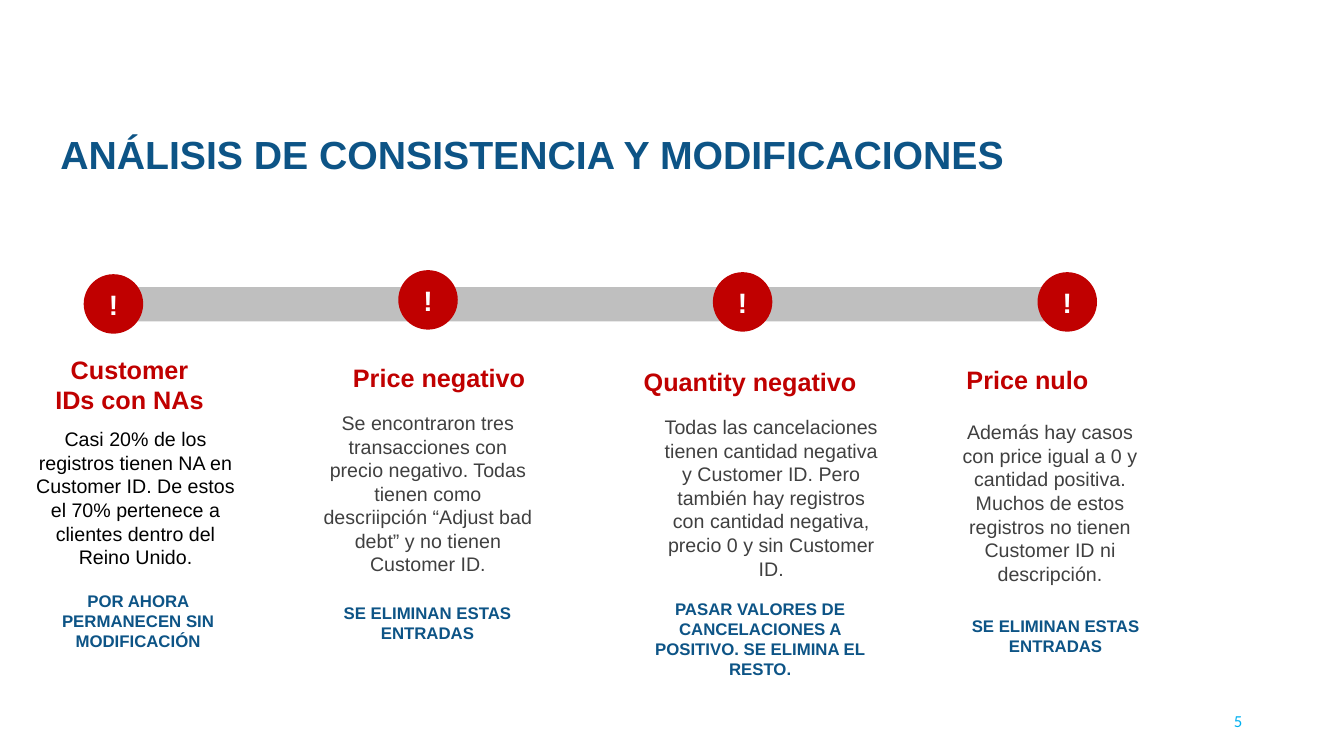
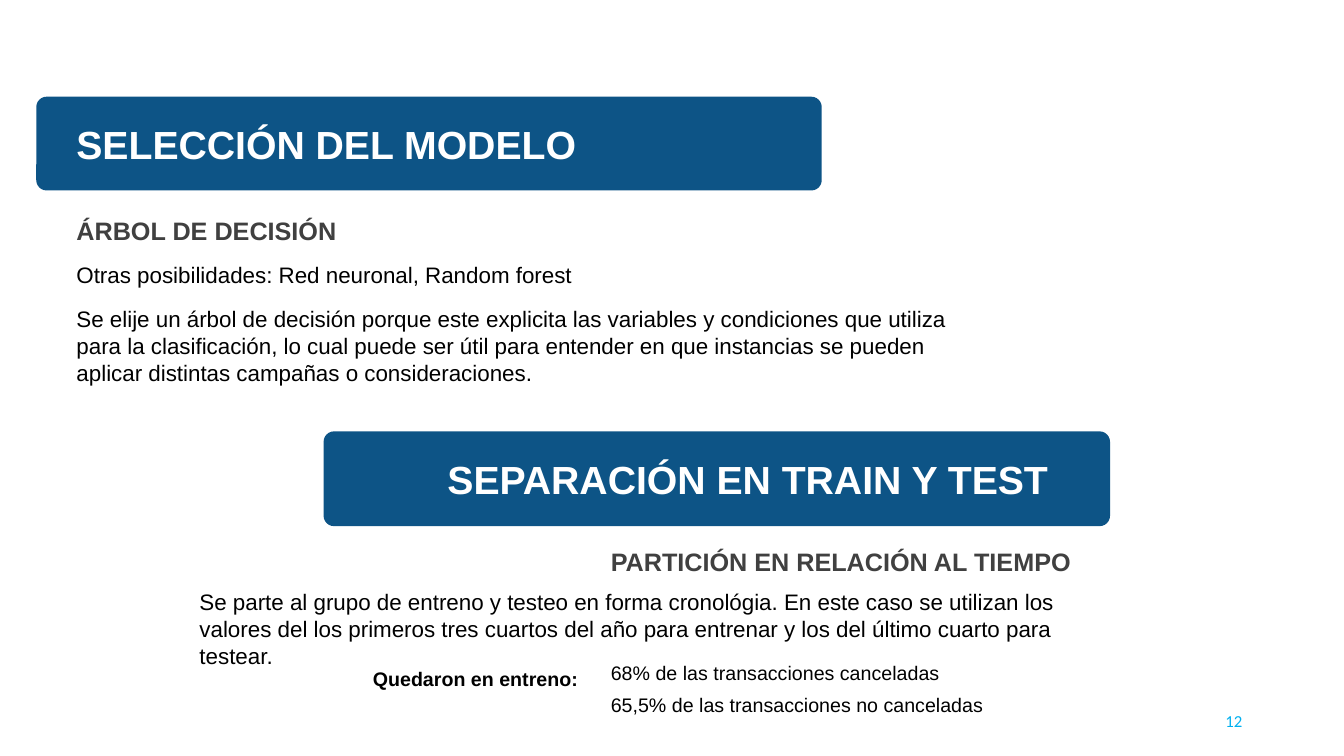
"""Build two slides: data consistency checks, then model choice and data split."""
from pptx import Presentation
from pptx.dml.color import RGBColor
from pptx.enum.shapes import MSO_SHAPE as SHAPE
from pptx.enum.text import MSO_ANCHOR as ANCHOR, PP_ALIGN as ALIGN
from pptx.util import Inches, Pt

COLORS = {"blue": "0D5486", "red": "C00000", "bar": "BFBFBF", "gray": "404040",
          "black": "000000", "white": "FFFFFF", "cyan": "00B0F0"}

TITLE = dict(size=28, bold=True, anchor=ANCHOR.MIDDLE)
HEADING = dict(size=18, bold=True, color="gray")
ISSUE = dict(size=18, bold=True, color="red", align=ALIGN.CENTER, anchor=ANCHOR.MIDDLE)
DETAIL = dict(size=14, align=ALIGN.CENTER)
ACTION = dict(size=12, bold=True, color="blue", align=ALIGN.CENTER)
BODY = dict(size=16)
RESULT = dict(size=14)

DOT = 0.59
ISSUES = [
    {"dot": (0.83, 2.72),
     "issue": ("Customer IDs con NAs", (0.4, 3.46, 1.77, 0.71)),
     "detail": ("Casi 20% de los registros tienen NA en Customer ID. De estos el 70% "
                "pertenece a clientes dentro del Reino Unido.", (0.18, 4.19, 2.33, 1.51)),
     "detail_color": "black",
     "action": ("POR AHORA PERMANECEN SIN MODIFICACIÓN", (0.36, 5.81, 2.02, 0.71))},
    {"dot": (3.95, 2.68),
     "issue": ("Price negativo", (3.31, 3.54, 2.09, 0.4)),
     "detail": ("Se encontraron tres transacciones con precio negativo. Todas tienen como "
                "descriipción “Adjust bad debt” y no tienen Customer ID.",
                (3.08, 4.03, 2.33, 1.75)),
     "detail_color": "gray",
     "action": ("SE ELIMINAN ESTAS ENTRADAS", (3.23, 5.93, 2.02, 0.5))},
    {"dot": (7.07, 2.7),
     "issue": ("Quantity negativo", (6.27, 3.58, 2.34, 0.4)),
     "detail": ("Todas las cancelaciones tienen cantidad negativa y Customer ID. Pero también "
                "hay registros con cantidad negativa, precio 0 y sin Customer ID.",
                (6.48, 4.07, 2.34, 1.75)),
     "detail_color": "gray",
     "action": ("PASAR VALORES DE CANCELACIONES A POSITIVO. SE ELIMINA EL RESTO.",
                (6.31, 5.89, 2.46, 0.91))},
    {"dot": (10.29, 2.7),
     "issue": ("Price nulo", (9.4, 3.56, 1.58, 0.4)),
     "detail": ("Además hay casos con price igual a 0 y cantidad positiva. Muchos de estos "
                "registros no tienen Customer ID ni descripción.", (9.35, 4.12, 2.13, 1.75)),
     "detail_color": "gray",
     "action": ("SE ELIMINAN ESTAS ENTRADAS", (9.46, 6.06, 2.02, 0.5))},
]

BANNERS = [
    ("SELECCIÓN DEL MODELO", (0.36, 0.96, 7.79, 0.93), (0.66, 1.14, 7.4, 0.57)),
    ("SEPARACIÓN EN TRAIN Y TEST", (3.21, 4.28, 7.8, 0.94), (4.34, 4.47, 6.6, 0.57)),
]
MODEL_TEXTS = [
    ("ÁRBOL DE DECISIÓN", (0.66, 2.09, 7.79, 0.4), HEADING),
    ("Otras posibilidades: Red neuronal, Random forest", (0.66, 2.54, 6.42, 0.37), BODY),
    ("Se elije un árbol de decisión porque este explicita las variables y condiciones que "
     "utiliza para la clasificación, lo cual puede ser útil para entender en que instancias "
     "se pueden aplicar distintas campañas o consideraciones.", (0.66, 2.98, 9.22, 0.91), BODY),
    ("PARTICIÓN EN RELACIÓN AL TIEMPO", (5.96, 5.37, 7, 0.4), HEADING),
    ("Se parte al grupo de entreno y testeo en forma cronológia. En este caso se utilizan los "
     "valores del los primeros tres cuartos del año para entrenar y los del último cuarto "
     "para testear.", (1.88, 5.79, 8.91, 0.91), BODY),
    ("Quedaron en entreno:", (3.6, 6.57, 2.3, 0.34), dict(RESULT, bold=True)),
    ("68% de las transacciones canceladas", (5.96, 6.51, 3.92, 0.34), RESULT),
    ("65,5% de las transacciones no canceladas", (5.96, 6.83, 3.92, 0.34), RESULT),
]


def rgb(name):
    return RGBColor.from_string(COLORS[name])


def write(tf, text, size=16, color="black", bold=False, font="Arial",
          align=ALIGN.LEFT, anchor=ANCHOR.TOP):
    tf.word_wrap = True
    tf.vertical_anchor = anchor
    p = tf.paragraphs[0]
    p.alignment = align
    r = p.add_run()
    r.text = text
    r.font.name, r.font.size, r.font.bold = font, Pt(size), bold
    r.font.color.rgb = rgb(color)


def add_text(s, text, box, **fmt):
    write(s.shapes.add_textbox(*map(Inches, box)).text_frame, text, **fmt)


def add_block(s, kind, box, fill):
    sp = s.shapes.add_shape(kind, *map(Inches, box))
    sp.shadow.inherit = False
    sp.fill.solid()
    sp.fill.fore_color.rgb = rgb(fill)
    sp.line.fill.background()
    return sp


def new_slide(prs, number):
    s = prs.slides.add_slide(prs.slide_layouts[6])
    add_text(s, str(number), (9.42, 6.95, 3, 0.4), size=12, color="cyan", font="Calibri",
             align=ALIGN.RIGHT, anchor=ANCHOR.MIDDLE)
    return s


def consistency_slide(prs):
    s = new_slide(prs, 5)
    add_text(s, "ANÁLISIS DE CONSISTENCIA Y MODIFICACIONES", (0.5, 1.24, 11.02, 0.57),
             color="blue", **TITLE)
    add_block(s, SHAPE.RECTANGLE, (0.92, 2.85, 9.86, 0.34), "bar")
    for item in ISSUES:
        dot = add_block(s, SHAPE.OVAL, (*item["dot"], DOT, DOT), "red")
        write(dot.text_frame, "!", size=20, color="white", bold=True,
              align=ALIGN.CENTER, anchor=ANCHOR.MIDDLE)
        add_text(s, *item["issue"], **ISSUE)
        add_text(s, *item["detail"], color=item["detail_color"], **DETAIL)
        add_text(s, *item["action"], **ACTION)


def model_slide(prs):
    s = new_slide(prs, 12)
    for title, band, box in BANNERS:
        add_block(s, SHAPE.ROUNDED_RECTANGLE, band, "blue").adjustments[0] = 0.11
        add_text(s, title, box, color="white", **TITLE)
    for text, box, fmt in MODEL_TEXTS:
        add_text(s, text, box, **fmt)


def main():
    prs = Presentation()
    prs.slide_width, prs.slide_height = Inches(13.33), Inches(7.5)
    consistency_slide(prs)
    model_slide(prs)
    prs.save("out.pptx")


if __name__ == "__main__":
    main()
